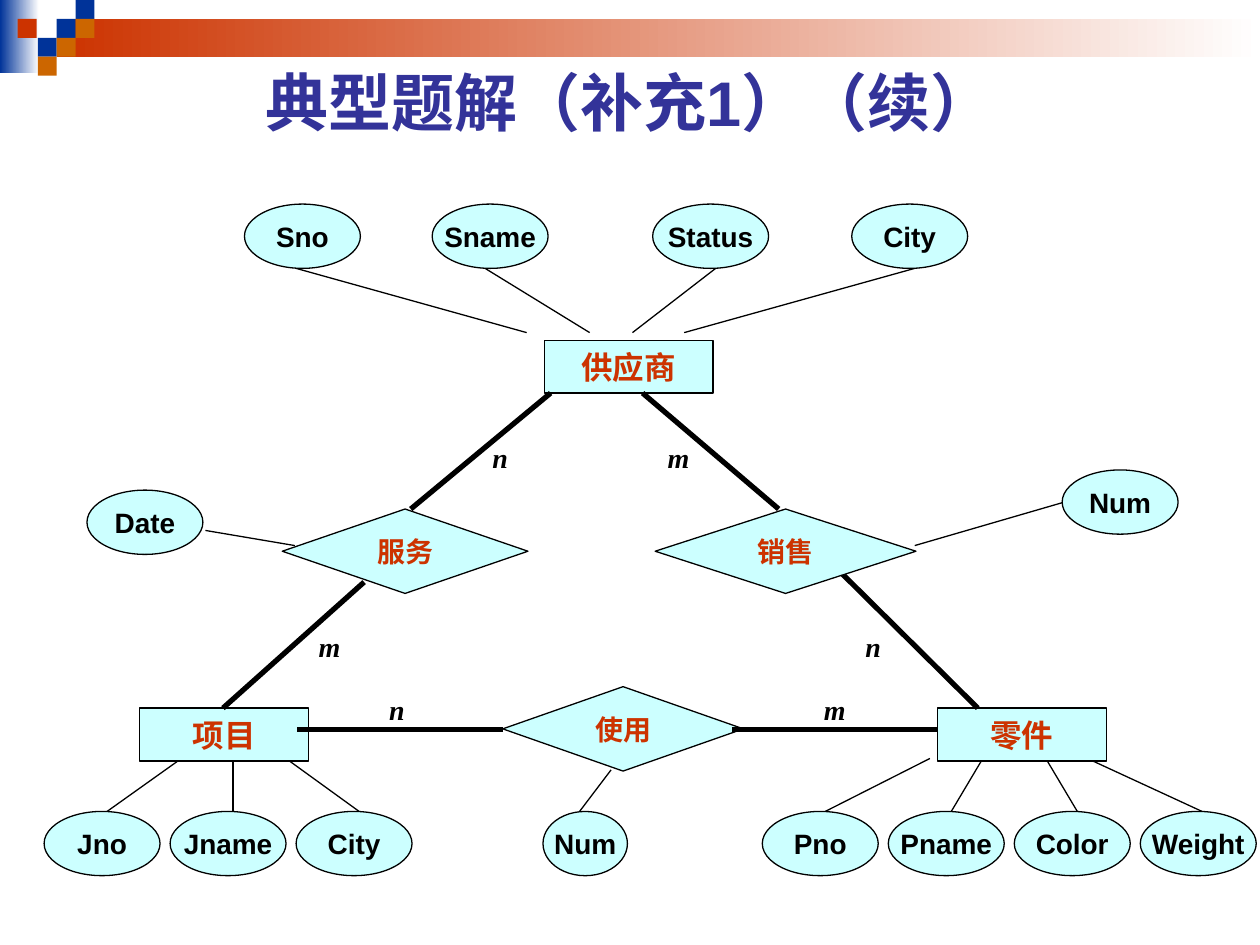
"""Build the supplier, project and part entity-relationship slide."""
from lxml import etree
from pptx import Presentation
from pptx.dml.color import RGBColor
from pptx.enum.shapes import MSO_CONNECTOR, MSO_SHAPE
from pptx.enum.text import MSO_ANCHOR, PP_ALIGN
from pptx.oxml.ns import qn
from pptx.util import Inches, Pt

STRAIGHT = MSO_CONNECTOR.STRAIGHT
RECTANGLE, OVAL = MSO_SHAPE.RECTANGLE, MSO_SHAPE.OVAL
DECISION = MSO_SHAPE.FLOWCHART_DECISION
MIDDLE, TOP = MSO_ANCHOR.MIDDLE, MSO_ANCHOR.TOP
CENTER, LEFT = PP_ALIGN.CENTER, PP_ALIGN.LEFT

BLACK = RGBColor(0x00, 0x00, 0x00)
WHITE = RGBColor(0xFF, 0xFF, 0xFF)
NAVY = RGBColor(0x00, 0x33, 0x99)
RED = RGBColor(0xCC, 0x33, 0x00)
ORANGE = RGBColor(0xCC, 0x66, 0x00)
INDIGO = RGBColor(0x33, 0x33, 0x99)
PALE_CYAN = RGBColor(0xCC, 0xFF, 0xFF)

TITLE = {"color": INDIGO, "name": "Arial", "size": Pt(36), "bold": True}
ATTRIBUTE = {"color": BLACK, "name": "Arial", "size": Pt(16), "bold": True}
ENTITY = {"color": RED, "name": "Arial", "size": Pt(18), "bold": True}
RELATION = {**ENTITY, "size": Pt(16)}
CARDINALITY = {**ATTRIBUTE, "name": "Times New Roman", "italic": True}

deck = Presentation()
deck.slide_width, deck.slide_height = Inches(10), Inches(7.5)
page = deck.slides.add_slide(deck.slide_layouts[6])


def add_label(kind, place, text, style, align=CENTER, anchor=MIDDLE):
    place = [Inches(value) for value in place]
    if kind is None:
        box = page.shapes.add_textbox(*place)
    else:
        box = page.shapes.add_shape(kind, *place)
        box.shadow.inherit = False
        box.fill.solid()
        box.fill.fore_color.rgb = PALE_CYAN
        box.line.color.rgb = BLACK
        box.line.width = Pt(0.75)
    box.text_frame.word_wrap = False
    box.text_frame.vertical_anchor = anchor
    para = box.text_frame.paragraphs[0]
    para.alignment = align
    span = para.add_run()
    span.text = text
    for name, value in style.items():
        if name == "color":
            span.font.color.rgb = value
        else:
            setattr(span.font, name, value)


def add_link(ends, width):
    link = page.shapes.add_connector(STRAIGHT, *[Inches(value) for value in ends])
    link.line.color.rgb = BLACK
    link.line.width = Pt(width)
    etree.SubElement(link._element.spPr, qn("a:effectLst"))


for place, color in [((0, 0, 0.31, 0.58), NAVY), ((0.45, 0.15, 9.55, 0.3), RED)]:
    band = page.shapes.add_shape(RECTANGLE, *[Inches(value) for value in place])
    band.shadow.inherit = False
    band.line.fill.background()
    band.fill.gradient()
    band.fill.gradient_angle = 0
    for stop, stop_color in zip(band.fill.gradient_stops, (color, WHITE)):
        stop.color.rgb = stop_color

TILE = 0.15
for left, top, color in [
    (0.45, 0.15, NAVY), (0.6, 0, NAVY), (0.6, 0.15, ORANGE), (0.3, 0.3, NAVY),
    (0.14, 0.15, RED), (0.45, 0.3, ORANGE), (0.3, 0.45, ORANGE),
]:
    tile = page.shapes.add_shape(
        RECTANGLE, Inches(left), Inches(top), Inches(TILE), Inches(TILE))
    tile.shadow.inherit = False
    tile.line.fill.background()
    tile.fill.solid()
    tile.fill.fore_color.rgb = color

add_label(None, (0.75, 0.21, 8.5, 1.18), "典型题解（补充1）（续）", TITLE)

for ends in [
    (3.85, 2.13, 4.68, 2.64), (2.35, 2.13, 4.18, 2.64),
    (5.02, 2.64, 5.68, 2.13), (5.43, 2.64, 7.26, 2.13),
    (0.85, 6.44, 1.44, 6.02), (1.85, 6.44, 1.85, 6.02), (2.27, 6.02, 2.85, 6.44),
    (6.55, 6.44, 7.38, 6.02), (7.55, 6.44, 7.8, 6.02),
    (8.55, 6.44, 8.3, 6.02), (8.63, 6.02, 9.54, 6.44),
    (4.85, 6.11, 4.6, 6.44), (7.26, 4.33, 8.43, 3.99), (2.34, 4.33, 1.63, 4.21),
]:
    add_link(ends, 0.75)

attributes = [
    (1.94, 1.62, "Sno"), (3.43, 1.62, "Sname"),
    (5.18, 1.62, "Status"), (6.76, 1.62, "City"),
    (8.43, 3.73, "Num"), (0.69, 3.89, "Date"),
]
for start, names in [
    (0.35, ["Jno", "Jname", "City"]),
    (6.05, ["Pno", "Pname", "Color", "Weight"]),
]:
    attributes += [(start + step, 6.44, name) for step, name in enumerate(names)]
for left, top, name in attributes:
    add_label(OVAL, (left, top, 0.92, 0.51), name, ATTRIBUTE)
add_label(OVAL, (4.31, 6.44, 0.67, 0.51), "Num", ATTRIBUTE)

for left, top, name in [(4.32, 2.7, "供应商"), (1.11, 5.62, "项目"), (7.44, 5.62, "零件")]:
    add_label(RECTANGLE, (left, top, 1.34, 0.42), name, ENTITY)

for ends in [(2.89, 4.62, 1.77, 5.62), (6.67, 4.54, 7.76, 5.62)]:
    add_link(ends, 3)
for left, top, width, name in [
    (3.99, 5.45, 1.91, "使用"), (2.24, 4.04, 1.95, "服务"), (5.2, 4.04, 2.07, "销售"),
]:
    add_label(DECISION, (left, top, width, 0.67), name, RELATION)
for ends in [
    (2.36, 5.79, 3.99, 5.79), (5.81, 5.79, 7.44, 5.79),
    (4.37, 3.12, 3.26, 4.04), (5.1, 3.12, 6.18, 4.04),
]:
    add_link(ends, 3)

LABEL_WIDTHS = {"n": 0.32, "m": 0.37}
for left, top, name in [
    (2.99, 5.45, "n"), (6.44, 5.45, "m"), (2.43, 4.95, "m"),
    (3.81, 3.45, "n"), (5.2, 3.45, "m"), (6.77, 4.95, "n"),
]:
    place = (left, top, LABEL_WIDTHS[name], 0.37)
    add_label(None, place, name, CARDINALITY, LEFT, TOP)

deck.save("out.pptx")
